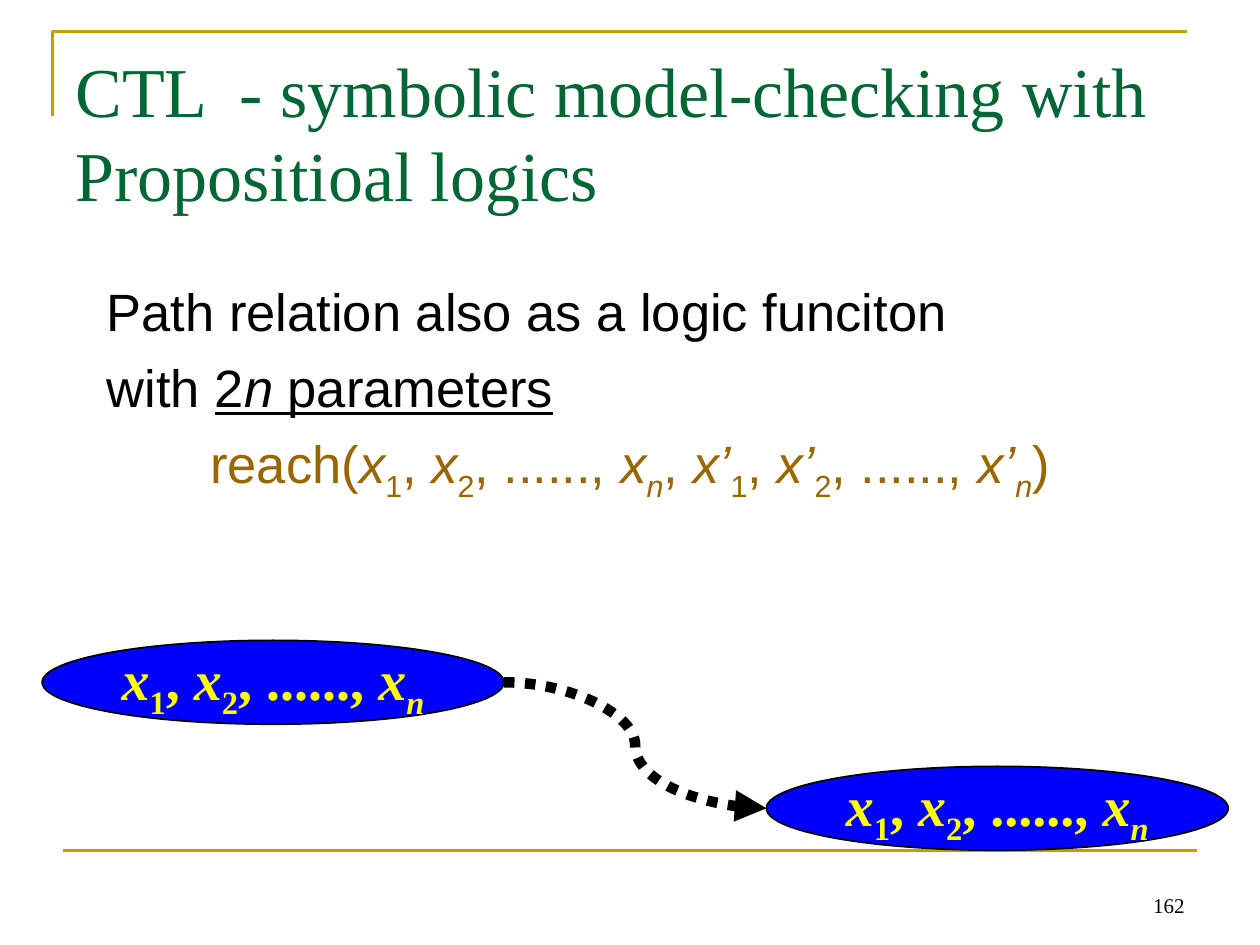
from lxml.etree import SubElement
from pptx import Presentation
from pptx.dml.color import RGBColor
from pptx.enum.dml import MSO_LINE
from pptx.enum.shapes import MSO_CONNECTOR as Connector, MSO_SHAPE as Shape
from pptx.enum.text import MSO_ANCHOR as Anchor, MSO_AUTO_SIZE as AutoSize, PP_ALIGN as Align
from pptx.oxml.ns import qn
from pptx.util import Cm, Pt

GOLD = RGBColor(0xCC, 0x99, 0x00)
GREEN = RGBColor(0x00, 0x66, 0x33)
BROWN = RGBColor(0x99, 0x66, 0x00)
BLUE = RGBColor(0x00, 0x00, 0xFF)
YELLOW = RGBColor(0xFF, 0xFF, 0x00)
BLACK = RGBColor(0, 0, 0)
SERIF, SANS = "Times New Roman", "Arial"

# Content: runs are (text, marks); i = italic, u = underline, s = subscript
TITLE = "CTL  - symbolic model-checking with Propositioal logics"
PAGE_NUMBER = "162"


def variables(name):
    return [(name, "i"), ("1", "s"), (", ", ""), (name, "i"), ("2", "s"),
            (", ......,", ""), (" " + name, "i"), ("n", "is")]


BODY = [
    ([("Path relation also as a logic funciton", "")], BLACK, Align.LEFT),
    ([("with ", ""), ("2", "u"), ("n", "iu"), (" parameters", "u")], BLACK, Align.LEFT),
    ([("reach(", ""), *variables("x"), (", ", ""), *variables("x’"), (")", "")],
     BROWN, Align.CENTER),
]
STATES = [(0.85, 12.91), (15.45, 15.45)]  # left, top of each ellipse
STATE_WIDTH, STATE_HEIGHT = 9.31, 1.69


def add_runs(para, runs, font, size, color, bold=False):
    for text, marks in runs:
        span = para.add_run()
        span.text = text
        span.font.name, span.font.size, span.font.bold = font, Pt(size), bold
        span.font.color.rgb = color
        span.font.italic = "i" in marks
        span.font.underline = "u" in marks
        if "s" in marks:
            span.font._element.set("baseline", "-25000")


def place(shape, left, top, width, height):
    shape.left, shape.top = Cm(left), Cm(top)
    shape.width, shape.height = Cm(width), Cm(height)


def add_line(page, kind, start, end, color, width):
    line = page.shapes.add_connector(kind, *map(Cm, start + end))
    line.line.color.rgb, line.line.width = color, Pt(width)
    SubElement(line._element.spPr, qn("a:effectLst"))
    return line


deck = Presentation()
deck.slide_width, deck.slide_height = Cm(25.4), Cm(19.05)
page = deck.slides.add_slide(deck.slide_layouts[1])

# Frame: corner at the top, rule at the bottom
builder = page.shapes.build_freeform(Cm(1.06), Cm(2.33))
builder.add_line_segments([(Cm(1.06), Cm(0.63)), (Cm(23.92), Cm(0.63))], close=False)
corner = builder.convert_to_shape()
corner.shadow.inherit = False
corner.fill.background()
corner.line.color.rgb, corner.line.width = GOLD, Pt(1.5)
add_line(page, Connector.STRAIGHT, (1.27, 17.15), (24.13, 17.15), GOLD, 1.5)

# Page number
box = page.shapes.add_textbox(Cm(18.2), Cm(17.36), Cm(5.93), Cm(1.27))
box.text_frame.word_wrap = True
box.text_frame.vertical_anchor = Anchor.BOTTOM
para = box.text_frame.paragraphs[0]
para.alignment = Align.RIGHT
add_runs(para, [(PAGE_NUMBER, "")], SERIF, 12, BLACK)

# Title
title = page.shapes.title
place(title, 1.27, 0.76, 22.86, 3.18)
frame = title.text_frame
frame.auto_size, frame.vertical_anchor = AutoSize.NONE, Anchor.TOP
frame.margin_top = Cm(0.2)
para = frame.paragraphs[0]
para.alignment, para.line_spacing = Align.LEFT, Pt(48)
add_runs(para, [(TITLE, "")], SERIF, 40, GREEN)

# Body
body = page.placeholders[1]
place(body, 1.9, 5.5, 21.6, 6.56)
frame = body.text_frame
frame.auto_size, frame.vertical_anchor = AutoSize.NONE, Anchor.TOP
for index, (runs, color, align) in enumerate(BODY):
    para = frame.add_paragraph() if index else frame.paragraphs[0]
    props = para._p.get_or_add_pPr()
    props.set("marL", str(Cm(0.95)))
    props.set("indent", str(-Cm(0.95)))
    SubElement(props, qn("a:buNone"))
    para.alignment = align
    para.space_before = Pt(7.5 if index else 0)
    add_runs(para, runs, SANS, 30, color)

# States
for left, top in STATES:
    state = page.shapes.add_shape(Shape.OVAL, Cm(left), Cm(top),
                                  Cm(STATE_WIDTH), Cm(STATE_HEIGHT))
    state.shadow.inherit = False
    state.fill.solid()
    state.fill.fore_color.rgb = BLUE
    state.line.color.rgb, state.line.width = BLACK, Pt(1)
    state.text_frame.word_wrap = False
    state.text_frame.vertical_anchor = Anchor.MIDDLE
    para = state.text_frame.paragraphs[0]
    para.alignment = Align.CENTER
    add_runs(para, variables("x"), SERIF, 32, YELLOW, bold=True)

# Dotted path from the right of the first state to the left of the second
(left, top), (next_left, next_top) = STATES
path = add_line(page, Connector.CURVE,
                (left + STATE_WIDTH, top + STATE_HEIGHT / 2),
                (next_left, next_top + STATE_HEIGHT / 2), BLACK, 6)
path.line.dash_style = MSO_LINE.ROUND_DOT
SubElement(path.line._get_or_add_ln(), qn("a:tailEnd")).set("type", "triangle")

deck.save("out.pptx")
